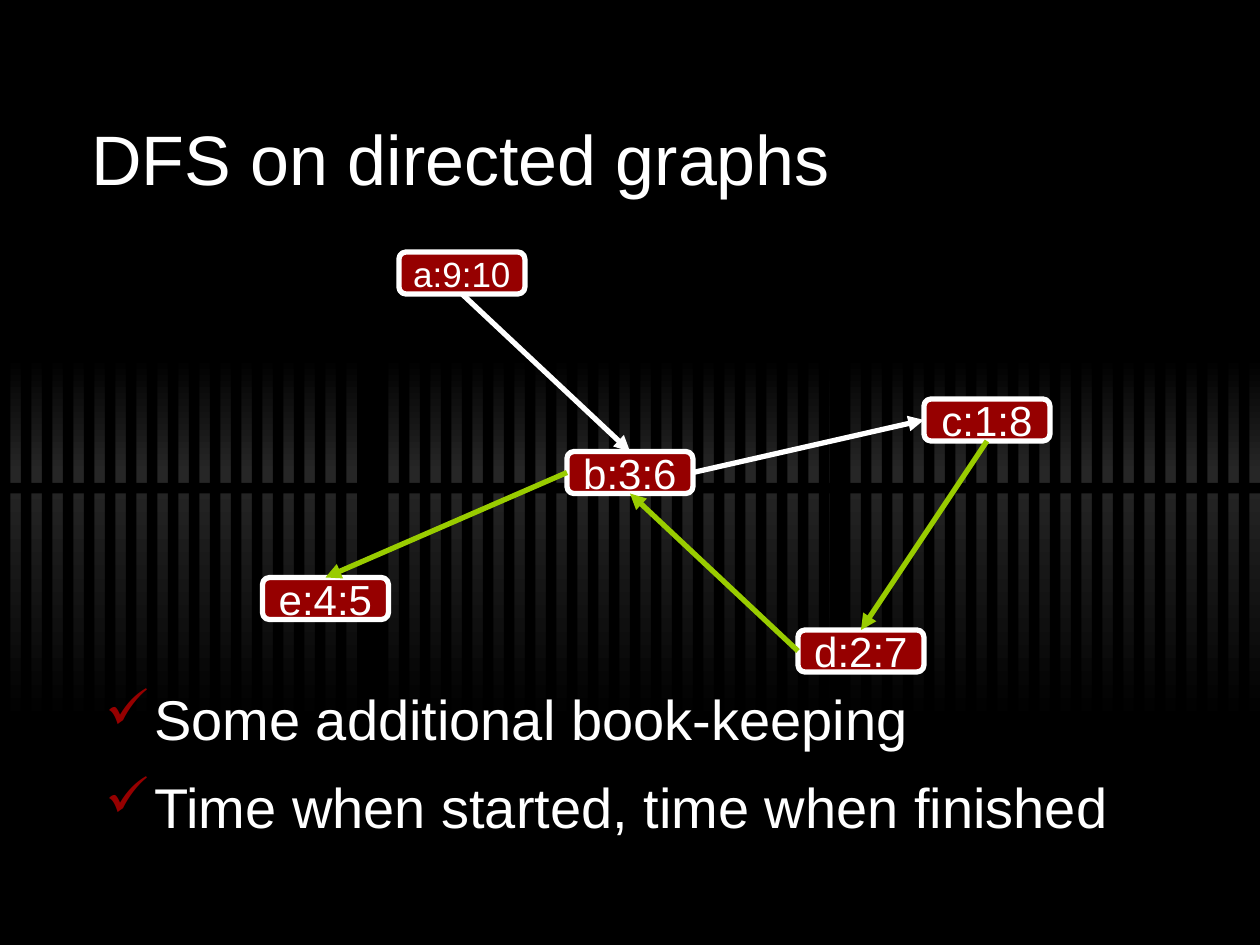
import pptx
import pptx.util
import pptx.dml.color
import pptx.enum.shapes
import pptx.enum.text
import pptx.oxml
import pptx.oxml.ns

RGB = pptx.dml.color.RGBColor
BLACK = RGB(0x00, 0x00, 0x00)
GREY = RGB(0x26, 0x26, 0x26)
WHITE = RGB(0xFF, 0xFF, 0xFF)
RED = RGB(0x96, 0x00, 0x00)
GREEN = RGB(0x99, 0xCC, 0x00)
FONT = "Arial"
Pt = pptx.util.Pt
KIND = pptx.enum.shapes.MSO_SHAPE
MID = pptx.enum.text.MSO_ANCHOR.MIDDLE

# Grid of 120 columns by 90 rows
deck = pptx.Presentation()
deck.slide_width = pptx.util.Inches(10)
deck.slide_height = pptx.util.Inches(7.5)
unit = deck.slide_width // 120
slide = deck.slides.add_slide(deck.slide_layouts[6])
shapes = slide.shapes
slide.background.fill.solid()
slide.background.fill.fore_color.rgb = BLACK


def block(kind, *cells):
    shape = shapes.add_shape(kind, *[int(c * unit) for c in cells])
    shape.shadow.inherit = False
    shape.line.fill.background()
    return shape


def arrow(start, end, color):
    line = shapes.add_connector(
        pptx.enum.shapes.MSO_CONNECTOR.STRAIGHT,
        *[int(c * unit) for c in start + end])
    line.line.color.rgb = color
    line.line.width = Pt(3)
    tail = pptx.oxml.ns.qn("a:tailEnd")
    line.line._get_or_add_ln().makeelement(tail)
    ln = line.line._get_or_add_ln()
    ln.append(ln.makeelement(tail, {"type": "triangle"}))
    props = ln.getparent()
    props.append(props.makeelement(pptx.oxml.ns.qn("a:effectLst")))


# Glow behind the stripes
for top, rows, tones in [(34, 11, (BLACK, GREY)), (45, 24, (GREY, BLACK))]:
    fill = block(KIND.RECTANGLE, 0, top, 120, rows).fill
    fill.gradient()
    fill.gradient_angle = 270
    for stop, tone, place in zip(fill.gradient_stops, tones, (0, 1)):
        stop.color.rgb = tone
        stop.position = place

# Black stripes, two of them wide, and the bar across
bars = [(col, 30, 1, 47) for col in range(0, 120, 2) if col not in (34, 80)]
bars += [(34, 30, 2, 47), (79, 30, 2, 47), (0, 46, 120, 1)]
for bar in bars:
    fill = block(KIND.RECTANGLE, *bar).fill
    fill.solid()
    fill.fore_color.rgb = BLACK

# Title and bullet list
lists = [
    (9, 12, 40, ["DFS on directed graphs"]),
    (64, 26, 32, ["Some additional book-keeping",
                  "Time when started, time when finished"]),
]
for top, rows, size, texts in lists:
    box = shapes.add_textbox(*[int(c * unit) for c in (7.5, top, 105, rows)])
    frame = box.text_frame
    frame.word_wrap = True
    frame.text = "\n".join(texts)
    for para in frame.paragraphs:
        para.font.size = Pt(size)
        para.font.name = FONT
        para.font.color.rgb = WHITE
title, body = list(shapes)[-2:]
title.text_frame.vertical_anchor = MID

NS = 'xmlns:a="http://schemas.openxmlformats.org/drawingml/2006/main"'
for para in body.text_frame.paragraphs:
    para.line_spacing = 1.1
    para.space_before = Pt(8)
    props = para._p.get_or_add_pPr()
    props.set("marL", str(pptx.util.Inches(0.5)))
    props.set("indent", str(pptx.util.Inches(-0.39)))
    last = props.find(pptx.oxml.ns.qn("a:defRPr"))
    for part in (f'<a:buClr {NS}><a:srgbClr val="{RED}"/></a:buClr>',
                 f'<a:buChar {NS} char="✓"/>'):
        last.addprevious(pptx.oxml.parse_xml(part))

# White edges lie below the nodes
arrow((44, 28), (60, 43), WHITE)
arrow((66, 45), (88, 40), WHITE)

# Nodes: name, start time, finish time
nodes = [("e:4:5", 25, 55, 24), ("b:3:6", 54, 43, 24), ("a:9:10", 38, 24, 20),
         ("d:2:7", 76, 60, 24), ("c:1:8", 88, 38, 24)]
for text, col, row, size in nodes:
    node = block(KIND.ROUNDED_RECTANGLE, col, row, 12, 4)
    node.fill.solid()
    node.fill.fore_color.rgb = RED
    node.line.color.rgb = WHITE
    node.line.width = Pt(3)
    frame = node.text_frame
    frame.word_wrap = False
    frame.vertical_anchor = MID
    frame.text = text
    para = frame.paragraphs[0]
    para.alignment = pptx.enum.text.PP_ALIGN.CENTER
    para.font.size = Pt(size)
    para.font.name = FONT
    para.font.color.rgb = WHITE

# Green edges of the search tree
for start, end in [((54, 45), (31, 55)), ((76, 62), (60, 47)),
                   ((94, 42), (82, 60))]:
    arrow(start, end, GREEN)

deck.save("out.pptx")
